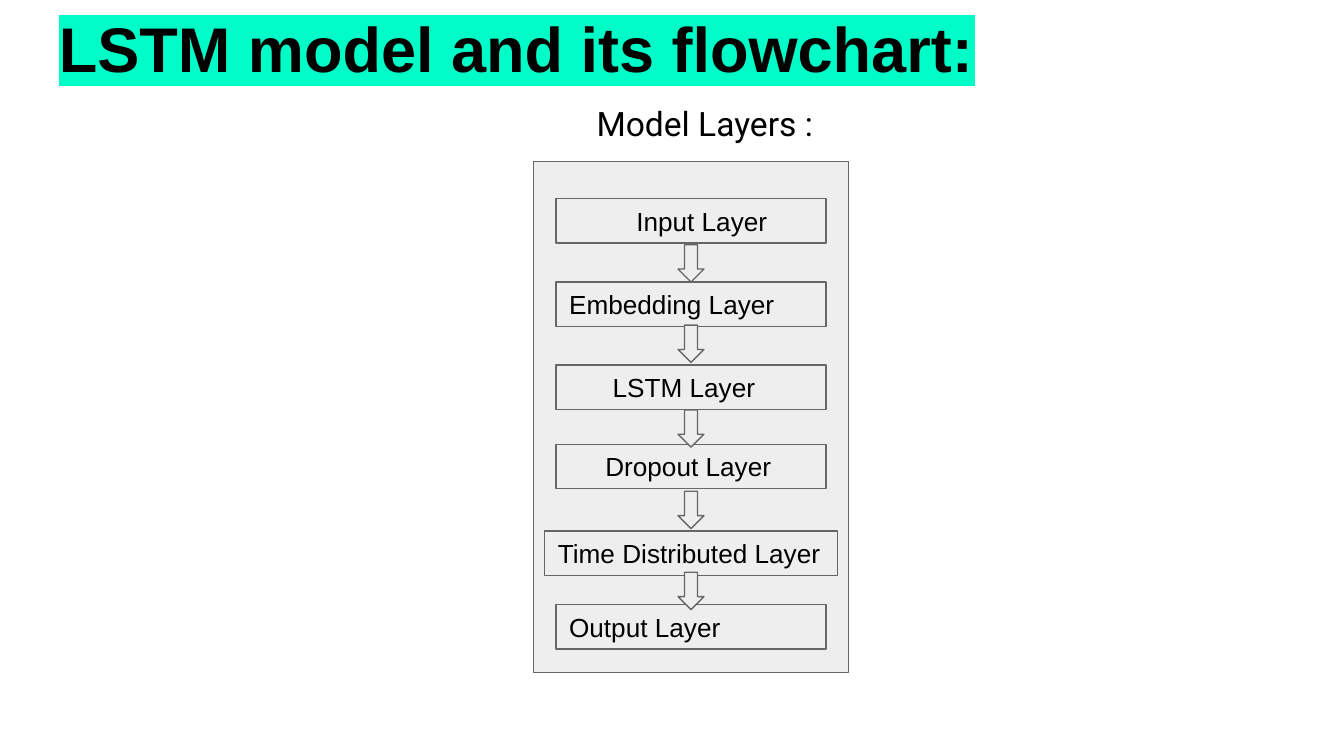
from dataclasses import dataclass
from typing import Optional

import pptx
import pptx.dml.color
import pptx.enum.shapes
import pptx.enum.text
import pptx.oxml
import pptx.oxml.ns
import pptx.util

Pt = pptx.util.Pt
RGBColor = pptx.dml.color.RGBColor
Shapes = pptx.enum.shapes.MSO_SHAPE
Anchor = pptx.enum.text.MSO_ANCHOR
Align = pptx.enum.text.PP_ALIGN

BLACK = RGBColor(0x00, 0x00, 0x00)
GREY = RGBColor(0x66, 0x66, 0x66)
LIGHT_GREY = RGBColor(0xEE, 0xEE, 0xEE)
HIGHLIGHT = RGBColor(0x00, 0xFD, 0xC8)

# Flowchart measures in points
CENTER = 370.2
LAYER_HEIGHT = 23.8
ARROW_WIDTH, ARROW_HEIGHT = 13.9, 20
INSET = 7.2


@dataclass(frozen=True)
class Layer:
    name: str
    top: float
    indent: float = 0
    width: float = 144.8
    arrow_top: Optional[float] = None


LAYERS = [
    Layer("Input Layer", 106.4, indent=36, arrow_top=131.1),
    Layer("Embedding Layer", 151.1, arrow_top=174.2),
    Layer("LSTM Layer", 195.5, indent=23.3, arrow_top=219.6),
    Layer("Dropout Layer", 238, indent=19.4, arrow_top=263.2),
    Layer("Time Distributed Layer", 284.6, width=156.8, arrow_top=306.6),
    Layer("Output Layer", 324),
]


def set_values(target: object, values: dict) -> None:
    for name, value in values.items():
        setattr(target, name, value)


def write_text(shape, text: str, font: dict, indent: float = 0,
               paragraph_format: Optional[dict] = None, **frame_format):
    """Write one paragraph and return its run."""
    frame = shape.text_frame
    margins = {f"margin_{side}": Pt(INSET) for side in ("left", "right", "top", "bottom")}
    set_values(frame, margins | {"word_wrap": True} | frame_format)
    paragraph = frame.paragraphs[0]
    set_values(paragraph, {"alignment": Align.LEFT} | (paragraph_format or {}))
    properties = paragraph._p.get_or_add_pPr()
    properties.set("marL", "0")
    properties.set("indent", str(int(Pt(indent))))
    run = paragraph.add_run()
    run.text = text
    set_values(run.font, font)
    run.font.color.rgb = BLACK
    return run


def highlight(run, color: RGBColor) -> None:
    namespace = pptx.oxml.ns.nsdecls("a")
    mark = pptx.oxml.parse_xml(
        f'<a:highlight {namespace}><a:srgbClr val="{color}"/></a:highlight>')
    fill = run.font._element.find(pptx.oxml.ns.qn("a:solidFill"))
    fill.addnext(mark)


def add_centered(slide, kind, top: float, width: float, height: float):
    """Add an outlined grey shape on the flowchart's vertical axis."""
    shape = slide.shapes.add_shape(
        kind, Pt(CENTER - width / 2), Pt(top), Pt(width), Pt(height))
    shape.shadow.inherit = False
    shape.fill.solid()
    shape.fill.fore_color.rgb = LIGHT_GREY
    shape.line.color.rgb = GREY
    shape.line.width = Pt(0.75)
    return shape


def add_flowchart(slide) -> None:
    add_centered(slide, Shapes.RECTANGLE, 86.4, 168.6, 274)
    for layer in LAYERS:
        box = add_centered(slide, Shapes.RECTANGLE, layer.top, layer.width, LAYER_HEIGHT)
        write_text(box, layer.name, {"name": "Arial", "size": Pt(14)},
                   layer.indent, vertical_anchor=Anchor.MIDDLE)
    for layer in LAYERS:
        if layer.arrow_top is not None:
            add_centered(slide, Shapes.DOWN_ARROW, layer.arrow_top,
                         ARROW_WIDTH, ARROW_HEIGHT)


def main() -> None:
    presentation = pptx.Presentation()
    set_values(presentation, {"slide_width": Pt(720), "slide_height": Pt(405)})
    slide = presentation.slides.add_slide(presentation.slide_layouts[6])

    # Title
    title = slide.shapes.add_textbox(Pt(24.5), Pt(-5), Pt(674), Pt(49))
    title_run = write_text(title, "LSTM model and its flowchart:",
                           {"name": "Arial", "size": Pt(33.8), "bold": True},
                           margin_top=Pt(10), vertical_anchor=Anchor.TOP)
    highlight(title_run, HIGHLIGHT)

    # Heading above the flowchart
    heading = slide.shapes.add_textbox(Pt(24.5), Pt(44.6), Pt(671), Pt(316))
    write_text(heading, "Model Layers :", {"name": "Roboto", "size": Pt(18)}, 288,
               {"alignment": Align.JUSTIFY, "line_spacing": 1.15},
               vertical_anchor=Anchor.TOP)

    # Layers and arrows
    add_flowchart(slide)
    presentation.save("out.pptx")


if __name__ == "__main__":
    main()
